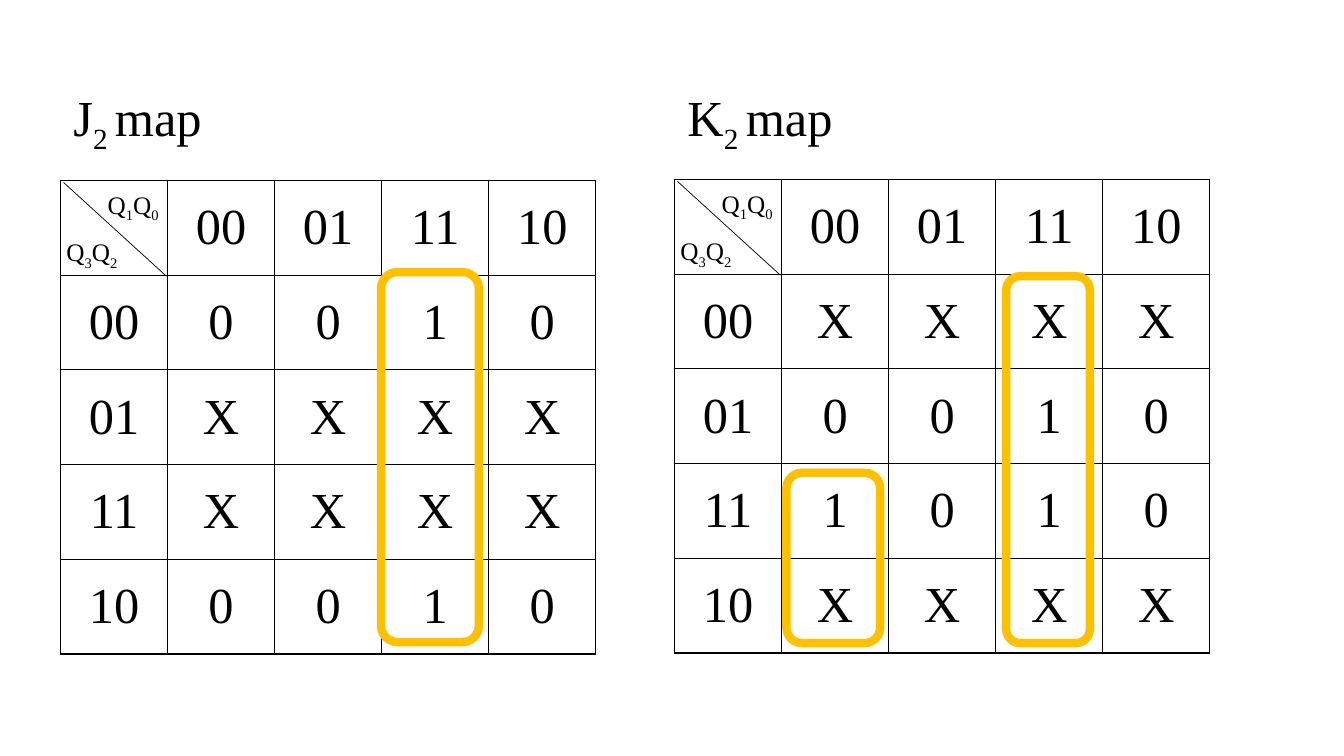
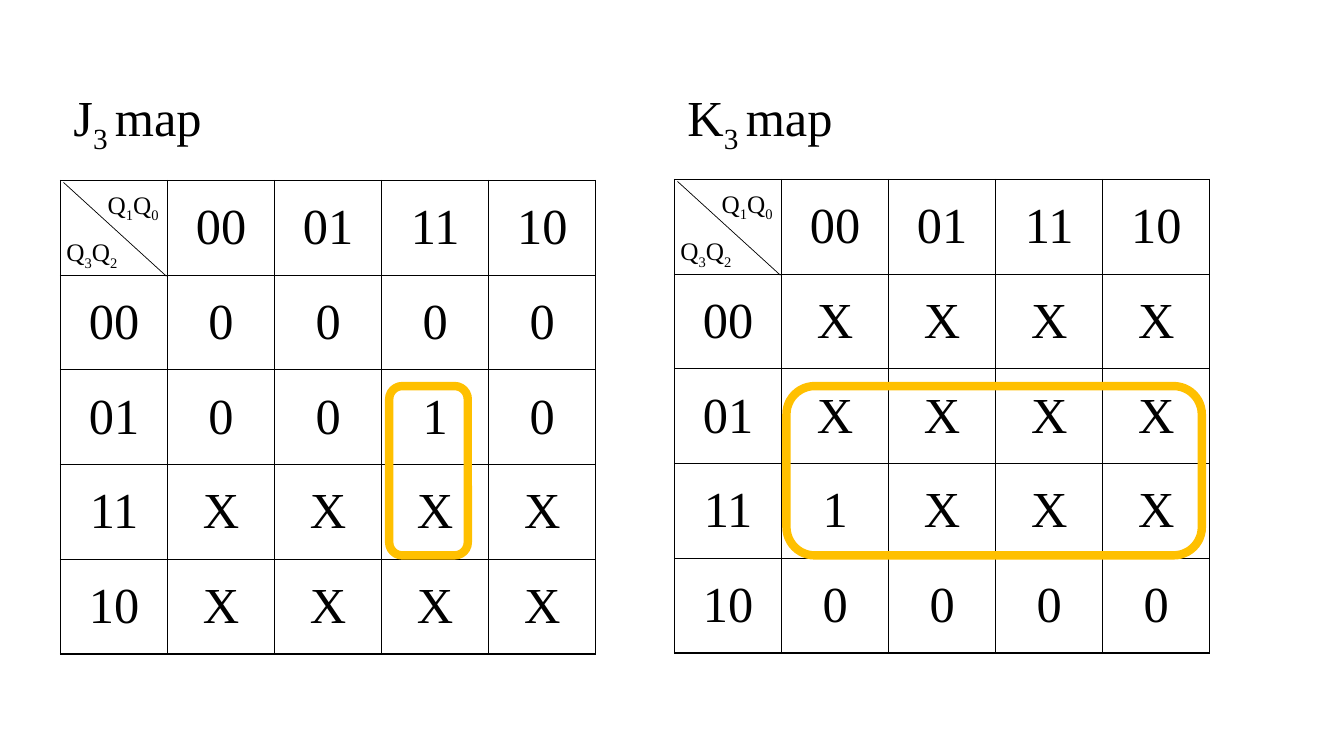
from pptx import Presentation
from pptx.dml.color import RGBColor
from pptx.enum.shapes import MSO_CONNECTOR, MSO_SHAPE
from pptx.enum.text import MSO_ANCHOR, MSO_AUTO_SIZE, PP_ALIGN
from pptx.oxml import parse_xml
from pptx.oxml.ns import nsdecls
from pptx.util import Inches, Pt

COLORS = {"ink": "000000", "ring": "FFC000"}
FONT = "Times New Roman"
GRAY_CODE = ["00", "01", "11", "10"]
SIZE = len(GRAY_CODE) + 1
MAP_WIDTH, MAP_HEIGHT = 5.31, 4.7
TITLE_TOP = 0.81

# Each map: letter, left, top and title width; rows of values follow per slide
MAP_PLACES = {"J": (0.6, 1.79, 1.56), "K": (6.69, 1.78, 1.73)}

SLIDES = [
    {
        "index": "2",
        "values": {
            "J": ["0010", "XXXX", "XXXX", "0010"],
            "K": ["XXXX", "0010", "1010", "XXXX"],
        },
        "rings": [
            (3.78, 2.7, 0.97, 3.67),
            (7.8, 4.69, 0.93, 1.69),
            (9.98, 2.74, 0.83, 3.64),
        ],
    },
    {
        "index": "3",
        "values": {
            "J": ["0000", "0010", "XXXX", "XXXX"],
            "K": ["XXXX", "XXXX", "1XXX", "0000"],
        },
        "rings": [(7.8, 3.83, 4.12, 1.68), (3.86, 3.83, 0.78, 1.68)],
    },
]


def add_label(slide, left, top, width, height, parts, size):
    """Add a one-line label; parts are (text, is_subscript) pairs."""
    box = slide.shapes.add_textbox(
        Inches(left), Inches(top), Inches(width), Inches(height))
    box.text_frame.word_wrap = False
    box.text_frame.auto_size = MSO_AUTO_SIZE.SHAPE_TO_FIT_TEXT
    paragraph = box.text_frame.paragraphs[0]
    for text, is_subscript in parts:
        run = paragraph.add_run()
        run.text = text
        run.font.size = Pt(size)
        run.font.name = FONT
        run.font.color.rgb = RGBColor.from_string(COLORS["ink"])
        if is_subscript:
            run._r.get_or_add_rPr().set("baseline", "-25000")


def add_map_table(slide, left, top, value_rows):
    """Add a Karnaugh map table with Gray code headings."""
    frame = slide.shapes.add_table(
        SIZE, SIZE, Inches(left), Inches(top),
        Inches(MAP_WIDTH), Inches(MAP_HEIGHT))
    table = frame.table
    table.first_row = False
    table.horz_banding = False
    grid = [[""] + GRAY_CODE]
    grid += [[code, *values] for code, values in zip(GRAY_CODE, value_rows)]
    for row, texts in enumerate(grid):
        for column, text in enumerate(texts):
            cell = table.cell(row, column)
            cell.margin_left = cell.margin_right = Inches(0.08)
            cell.margin_top = cell.margin_bottom = Inches(0.04)
            cell.vertical_anchor = MSO_ANCHOR.MIDDLE
            cell_properties = cell._tc.get_or_add_tcPr()
            for side in ("lnL", "lnR", "lnT", "lnB"):
                cell_properties.append(parse_xml(
                    f'<a:{side} {nsdecls("a")} w="{Pt(1)}"><a:solidFill>'
                    f'<a:srgbClr val="{COLORS["ink"]}"/>'
                    f'</a:solidFill></a:{side}>'))
            cell.fill.background()
            cell.text_frame.text = text
            paragraph = cell.text_frame.paragraphs[0]
            paragraph.alignment = PP_ALIGN.CENTER
            for run in paragraph.runs:
                run.font.size = Pt(36)
                run.font.name = FONT
                run.font.color.rgb = RGBColor.from_string(COLORS["ink"])


presentation = Presentation()
presentation.slide_width = Inches(13.33)
presentation.slide_height = Inches(7.5)
blank_layout = presentation.slide_layouts[6]

for content in SLIDES:
    slide = presentation.slides.add_slide(blank_layout)

    for letter, (left, top, title_width) in MAP_PLACES.items():
        add_map_table(slide, left, top, content["values"][letter])
        title = [(letter, False), (content["index"] + " ", True), ("map", False)]
        add_label(slide, left + 0.03, TITLE_TOP, title_width, 0.71, title, 36)

        # Corner cell: diagonal with the row and column variables
        diagonal = slide.shapes.add_connector(
            MSO_CONNECTOR.STRAIGHT,
            Inches(left + 0.03), Inches(top + 0.02),
            Inches(left + 1.05), Inches(top + 0.95))
        diagonal.line.color.rgb = RGBColor.from_string(COLORS["ink"])
        diagonal.line.width = Pt(0.5)
        diagonal._element.spPr.append(
            parse_xml(f'<a:effectLst {nsdecls("a")}/>'))
        for digits, shift_x, shift_y in (("32", -0.04, 0.51), ("10", 0.37, 0.04)):
            variables = [part for digit in digits
                         for part in (("Q", False), (digit, True))]
            add_label(slide, left + shift_x, top + shift_y, 0.73, 0.4,
                      variables, 18)

    for ring_box in content["rings"]:
        ring = slide.shapes.add_shape(
            MSO_SHAPE.ROUNDED_RECTANGLE, *map(Inches, ring_box))
        ring.shadow.inherit = False
        ring.fill.background()
        ring.line.color.rgb = RGBColor.from_string(COLORS["ring"])
        ring.line.width = Pt(6)

presentation.save("out.pptx")
